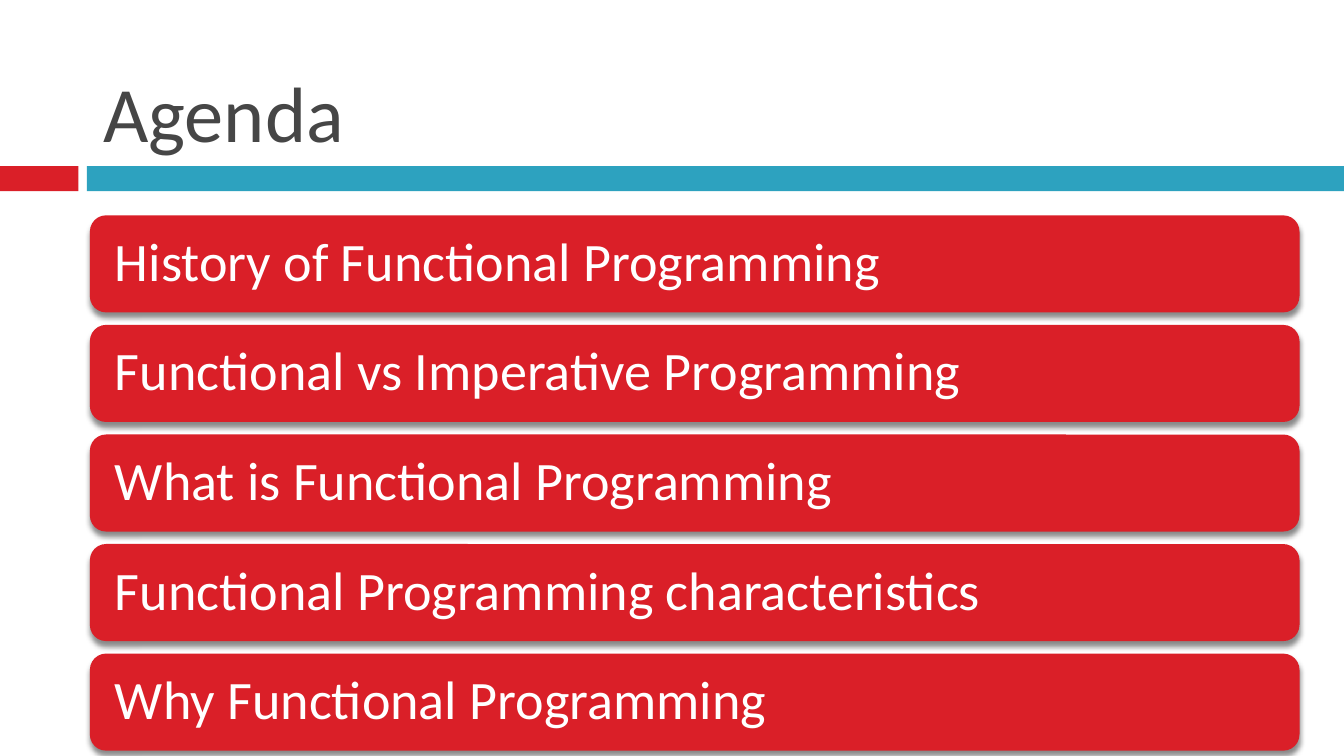
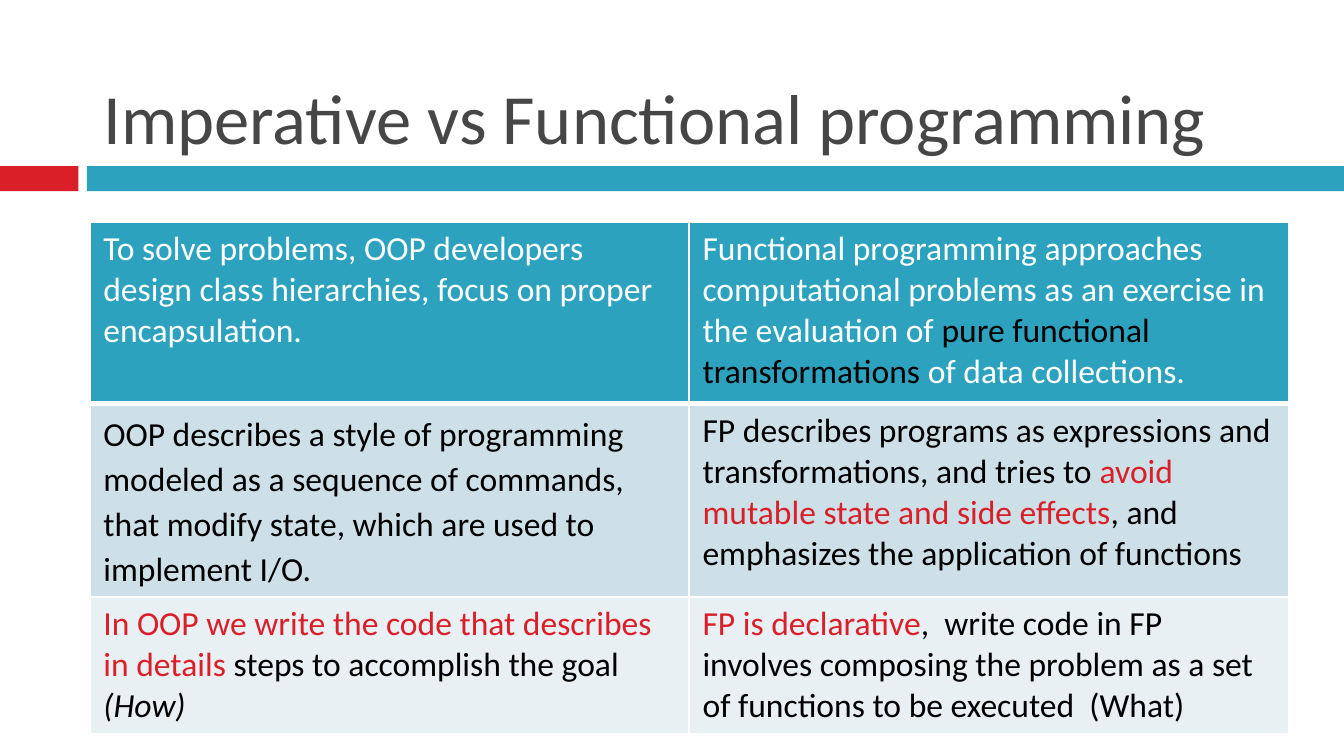
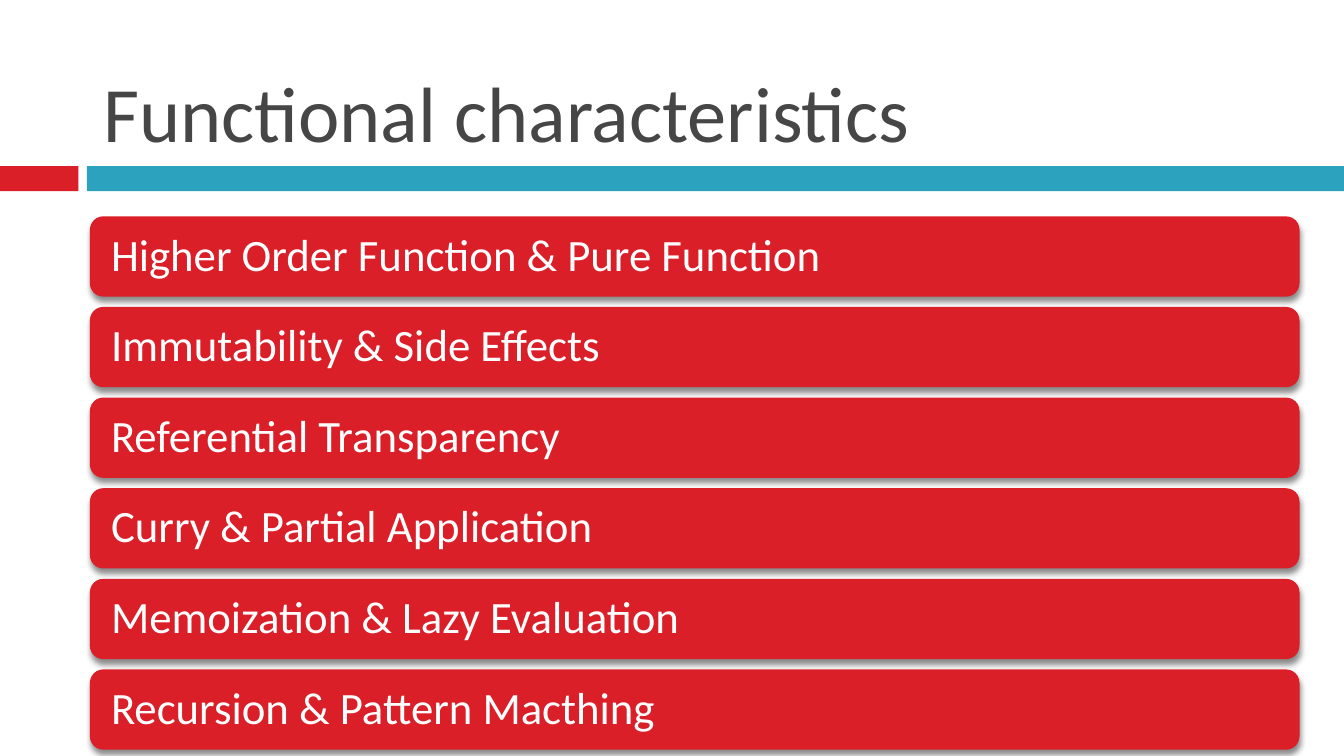
"""Build three slides on functional programming: agenda, comparison, characteristics."""
from dataclasses import dataclass
from typing import NamedTuple

import lxml.etree
import pptx
import pptx.dml.color
import pptx.enum.shapes
import pptx.enum.text
import pptx.oxml.ns
import pptx.shapes.autoshape
import pptx.slide
import pptx.table
import pptx.text.text
import pptx.util

Pt = pptx.util.Pt
qn = pptx.oxml.ns.qn

FONT = "Calibri"
RED, TEAL, GREY = "DA1F28", "2DA2BF", "464646"
WHITE, BLACK = "FFFFFF", "000000"
HEADER_FILL, ODD_FILL, EVEN_FILL = TEAL, "CDE0E8", "E8F0F4"
SLIDE_WIDTH, SLIDE_HEIGHT = 720, 405
CONTENT_LEFT, CONTENT_WIDTH = 48.2, 642
CARD_WIDTH = 648


class Band(NamedTuple):
    left: float
    width: float
    colour: str


class Span(NamedTuple):
    text: str
    colour: str = BLACK
    italic: bool = False


@dataclass
class Cell:
    paragraphs: list[list[Span]]
    line_spacing: float = 1.0


@dataclass
class Row:
    height: float
    fill: str
    cells: list[Cell]
    top_line: float = 1
    bottom_line: float = 1


@dataclass
class CardStack:
    topics: list[str]
    top: float
    height: float
    pitch: float
    text_size: float
    inset: float


BANDS = [Band(0, 42, RED), Band(46.6, SLIDE_WIDTH - 46.6, TEAL)]

AGENDA = CardStack(
    ["History of Functional Programming",
     "Functional vs Imperative Programming",
     "What is Functional Programming",
     "Functional Programming characteristics",
     "Why Functional Programming"],
    top=115.4, height=52, pitch=58.7, text_size=29, inset=10.9)

CHARACTERISTICS = CardStack(
    ["Higher Order Function & Pure Function",
     "Immutability & Side Effects",
     "Referential Transparency",
     "Curry & Partial Application",
     "Memoization & Lazy Evaluation",
     "Recursion & Pattern Macthing"],
    top=115.9, height=43, pitch=48.55, text_size=24, inset=9.2)

COMPARISON = [
    Row(97.2, HEADER_FILL, [
        Cell([[Span("To solve problems, OOP developers design class hierarchies, "
                    "focus on proper encapsulation.", WHITE)]]),
        Cell([[Span("Functional programming approaches computational problems as an "
                    "exercise in the evaluation of ", WHITE),
               Span("pure functional transformations "),
               Span("of data collections.", WHITE)]]),
    ], bottom_line=3),
    Row(103.8, ODD_FILL, [
        Cell([[Span("OOP describes a style of programming modeled as a sequence of "
                    "commands, that modify state, which are used to implement I/O.")]],
             line_spacing=1.1),
        Cell([[Span("FP describes programs as expressions and transformations, "
                    "and tries to "),
               Span("avoid mutable state and side effects", RED),
               Span(", and emphasizes the application of functions")]]),
    ], top_line=3),
    Row(72.9, EVEN_FILL, [
        Cell([[Span("In OOP we write the code that describes in details ", RED),
               Span("steps to accomplish the goal")],
              [Span("(How)", italic=True)]]),
        Cell([[Span("FP is declarative", RED),
               Span(",  write code in FP involves composing the problem as a set of "
                    "functions to be executed  (What)")]]),
    ]),
]


def rgb(colour: str) -> pptx.dml.color.RGBColor:
    """Turn a hex string into a colour."""
    return pptx.dml.color.RGBColor.from_string(colour)


def add_run(paragraph: pptx.text.text._Paragraph, span: Span, size: float) -> None:
    """Append one formatted run to a paragraph."""
    run = paragraph.add_run()
    run.text = span.text
    run.font.name = FONT
    run.font.size = Pt(size)
    run.font.italic = span.italic
    run.font.color.rgb = rgb(span.colour)


def add_filled(slide: pptx.slide.Slide, preset: pptx.enum.shapes.MSO_SHAPE, left: float,
               top: float, width: float, height: float,
               colour: str) -> pptx.shapes.autoshape.Shape:
    """Add a plain filled shape without line or shadow."""
    shape = slide.shapes.add_shape(preset, Pt(left), Pt(top), Pt(width), Pt(height))
    shape.shadow.inherit = False
    shape.fill.solid()
    shape.fill.fore_color.rgb = rgb(colour)
    shape.line.fill.background()
    return shape


def add_drop_shadow(shape: pptx.shapes.autoshape.Shape) -> None:
    """Give a shape a soft shadow straight below it."""
    effects = shape.element.spPr.find(qn("a:effectLst"))
    shadow = lxml.etree.SubElement(
        effects, qn("a:outerShdw"), blurRad=str(Pt(3)), dist=str(Pt(2.4)),
        dir="5400000", rotWithShape="0")
    colour = lxml.etree.SubElement(shadow, qn("a:srgbClr"), val=BLACK)
    lxml.etree.SubElement(colour, qn("a:alpha"), val="45000")


def style_layout(layout: pptx.slide.SlideLayout, slide: pptx.slide.Slide) -> None:
    """Place the shared title and move the two bands onto the layout."""
    title = next(p for p in layout.placeholders if p.placeholder_format.idx == 0)
    title.left, title.top = Pt(CONTENT_LEFT), Pt(9.4)
    title.width, title.height = Pt(CONTENT_WIDTH), Pt(79.2)
    for number, band in enumerate(BANDS):
        shape = add_filled(slide, pptx.enum.shapes.MSO_SHAPE.RECTANGLE,
                           band.left, 89, band.width, 13.4, band.colour)
        shape.element.nvSpPr.cNvPr.set("id", str(100 + number))
        layout.shapes.element.insert(2 + number, shape.element)


def set_title(slide: pptx.slide.Slide, text: str, size: float = 42) -> None:
    """Fill the title placeholder."""
    frame = slide.shapes.title.text_frame
    frame.auto_size = pptx.enum.text.MSO_AUTO_SIZE.NONE
    frame.vertical_anchor = pptx.enum.text.MSO_ANCHOR.BOTTOM
    heading = frame.paragraphs[0]
    heading.alignment = pptx.enum.text.PP_ALIGN.LEFT
    add_run(heading, Span(text, GREY), size)


def draw_cards(slide: pptx.slide.Slide, stack: CardStack) -> None:
    """Draw a column of evenly spaced topic cards."""
    for position, topic in enumerate(stack.topics):
        card = add_filled(slide, pptx.enum.shapes.MSO_SHAPE.ROUNDED_RECTANGLE,
                          CONTENT_LEFT, stack.top + position * stack.pitch,
                          CARD_WIDTH, stack.height, RED)
        add_drop_shadow(card)
        frame = card.text_frame
        frame.word_wrap = True
        frame.vertical_anchor = pptx.enum.text.MSO_ANCHOR.MIDDLE
        frame.margin_left = frame.margin_right = Pt(stack.inset)
        frame.margin_top = frame.margin_bottom = 0
        label = frame.paragraphs[0]
        label.alignment = pptx.enum.text.PP_ALIGN.LEFT
        label.line_spacing = 0.9
        add_run(label, Span(topic, WHITE), stack.text_size)


def set_borders(cell: pptx.table._Cell, row: Row) -> None:
    """Draw white borders around a cell."""
    properties = cell._tc.get_or_add_tcPr()
    widths = {"L": 1, "R": 1, "T": row.top_line, "B": row.bottom_line}
    for side, width in widths.items():
        line = lxml.etree.SubElement(properties, qn(f"a:ln{side}"), w=str(Pt(width)))
        fill = lxml.etree.SubElement(line, qn("a:solidFill"))
        lxml.etree.SubElement(fill, qn("a:srgbClr"), val=WHITE)


def draw_comparison(slide: pptx.slide.Slide, rows: list[Row]) -> None:
    """Draw the two-column comparison table."""
    table = slide.shapes.add_table(
        len(rows), 2, Pt(CONTENT_LEFT), Pt(118.9), Pt(CONTENT_WIDTH),
        Pt(sum(row.height for row in rows))).table
    table.first_row = table.horz_banding = False
    for row_index, row in enumerate(rows):
        table.rows[row_index].height = Pt(row.height)
        for column_index, content in enumerate(row.cells):
            cell = table.cell(row_index, column_index)
            set_borders(cell, row)
            cell.fill.solid()
            cell.fill.fore_color.rgb = rgb(row.fill)
            frame = cell.text_frame
            for index, spans in enumerate(content.paragraphs):
                paragraph = frame.add_paragraph() if index else frame.paragraphs[0]
                paragraph.line_spacing = content.line_spacing
                for span in spans:
                    add_run(paragraph, span, 18)


def main() -> None:
    """Build and save the presentation."""
    deck = pptx.Presentation()
    deck.slide_width, deck.slide_height = Pt(SLIDE_WIDTH), Pt(SLIDE_HEIGHT)
    layout = deck.slide_layouts[5]
    agenda, comparison, characteristics = (deck.slides.add_slide(layout) for _ in range(3))
    style_layout(layout, agenda)

    set_title(agenda, "Agenda")
    draw_cards(agenda, AGENDA)

    set_title(comparison, "Imperative vs Functional programming", 37.8)
    draw_comparison(comparison, COMPARISON)

    set_title(characteristics, "Functional characteristics")
    draw_cards(characteristics, CHARACTERISTICS)

    deck.save("out.pptx")


if __name__ == "__main__":
    main()
